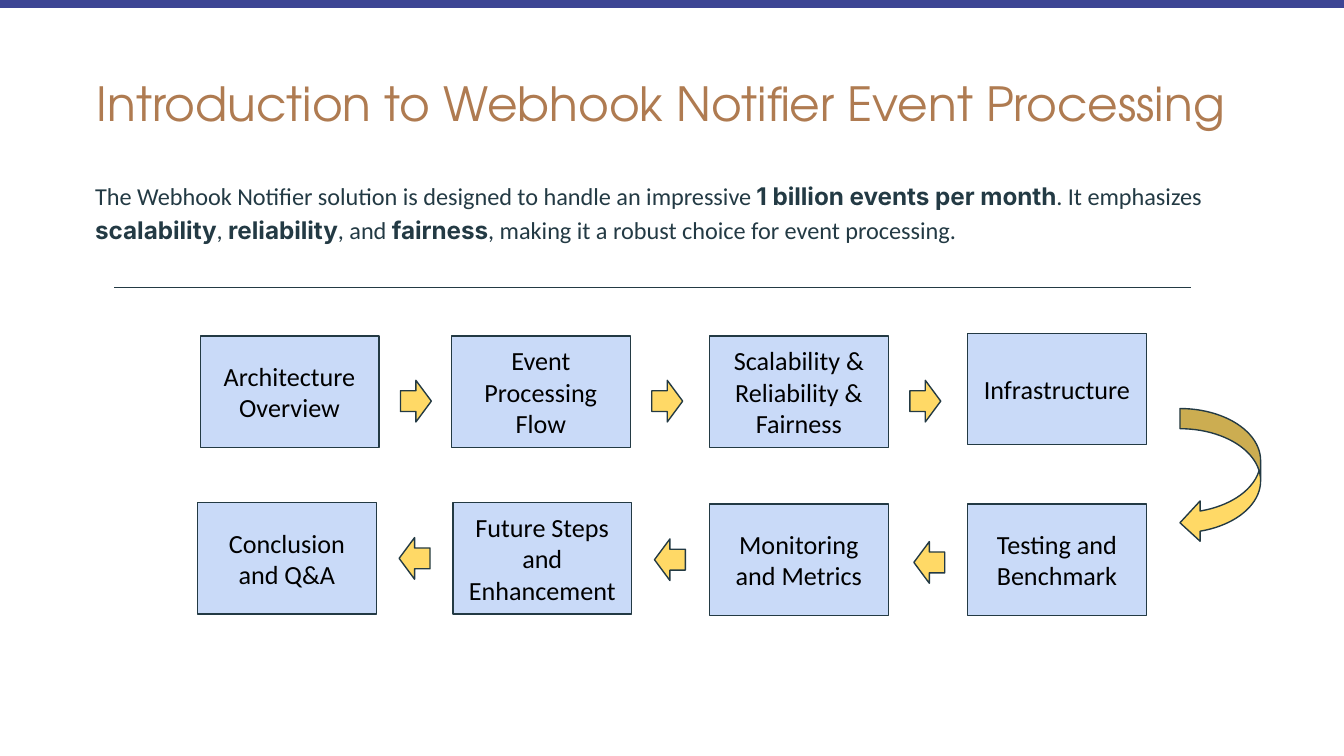
from lxml import etree
from pptx import Presentation
from pptx.dml.color import RGBColor
from pptx.enum.shapes import MSO_CONNECTOR, MSO_SHAPE
from pptx.enum.text import MSO_ANCHOR, MSO_AUTO_SIZE, PP_ALIGN
from pptx.oxml.ns import qn
from pptx.util import Inches, Pt

COLORS = {
    "band": "3D4594",
    "title": "AF7B51",
    "ink": "233A44",
    "step": "C9DAF8",
    "arrow": "FFD966",
    "label": "000000",
}

STEP_SIZE = (1.33, 0.83)
ARROW_SIZE = (0.23, 0.31)
STEPS = [
    ("Architecture Overview", 1.49, 2.5),
    ("Event Processing Flow", 3.36, 2.5),
    ("Scalability & Reliability & Fairness", 5.28, 2.5),
    ("Infrastructure", 7.2, 2.48),
    ("Testing and Benchmark", 7.2, 3.75),
    ("Monitoring and Metrics", 5.28, 3.75),
    ("Future Steps and Enhancement", 3.37, 3.74),
    ("Conclusion and Q&A", 1.47, 3.74),
]
FORWARD_ARROWS = [(2.98, 2.83), (4.85, 2.83), (6.77, 2.83)]
BACKWARD_ARROWS = [(6.8, 4.03), (4.87, 4.01), (2.97, 4)]

# Every second part is emphasized.
INTRO_PARTS = [
    "The Webhook Notifier solution is designed to handle an impressive ",
    "1 billion events per month",
    ". It emphasizes ",
    "scalability",
    ", ",
    "reliability",
    ", and ",
    "fairness",
    ", making it a robust choice for event processing.",
]


def color(name):
    return RGBColor.from_string(COLORS[name])


def set_font(font, face, size, color_name, bold=False):
    font.name = face
    font.size = Pt(size)
    font.bold = bold
    font.color.rgb = color(color_name)


def set_frame(frame, anchor):
    """Wrap the text inside even margins, without resizing."""
    frame.word_wrap = True
    frame.auto_size = MSO_AUTO_SIZE.NONE
    frame.vertical_anchor = anchor
    frame.margin_left = frame.margin_right = Inches(0.1)
    frame.margin_top = frame.margin_bottom = Inches(0.1)


def add_filled(slide, preset, left, top, size, fill, outlined=True):
    shape = slide.shapes.add_shape(
        preset, Inches(left), Inches(top), Inches(size[0]), Inches(size[1])
    )
    shape.shadow.inherit = False
    shape.fill.solid()
    shape.fill.fore_color.rgb = color(fill)
    if outlined:
        shape.line.color.rgb = color("ink")
        shape.line.width = Pt(0.75)
    else:
        shape.line.fill.background()
    return shape


def add_title(slide, text):
    title = slide.shapes.title
    title.left, title.top = Inches(0.62), Inches(0.45)
    title.width, title.height = Inches(8.76), Inches(0.63)
    set_frame(title.text_frame, MSO_ANCHOR.MIDDLE)
    title.text_frame.text = text
    paragraph = title.text_frame.paragraphs[0]
    paragraph.alignment = PP_ALIGN.LEFT
    set_font(paragraph.font, "TeX Gyre Adventor", 25.2, "title")


def add_intro(slide):
    intro = slide.shapes.add_textbox(
        Inches(0.61), Inches(1.22), Inches(8.51), Inches(0.67)
    )
    set_frame(intro.text_frame, MSO_ANCHOR.TOP)
    paragraph = intro.text_frame.paragraphs[0]
    paragraph.line_spacing = 1.15
    paragraph.space_after = Pt(12)
    for index, part in enumerate(INTRO_PARTS):
        run = paragraph.add_run()
        run.text = part
        emphasized = index % 2 == 1
        set_font(run.font, "Inter" if emphasized else "Calibri", 13, "ink", emphasized)


def add_divider(slide):
    divider = slide.shapes.add_connector(
        MSO_CONNECTOR.STRAIGHT, Inches(0.85), Inches(2.14), Inches(8.86), Inches(2.14)
    )
    divider.line.color.rgb = color("ink")
    divider.line.width = Pt(0.75)
    etree.SubElement(divider._element.spPr, qn("a:effectLst"))


def add_step(slide, label, left, top):
    step = add_filled(slide, MSO_SHAPE.RECTANGLE, left, top, STEP_SIZE, "step")
    set_frame(step.text_frame, MSO_ANCHOR.MIDDLE)
    step.text_frame.text = label
    paragraph = step.text_frame.paragraphs[0]
    paragraph.alignment = PP_ALIGN.CENTER
    set_font(paragraph.font, "Calibri", 14, "label")


def add_arrows(slide):
    for preset, places in (
        (MSO_SHAPE.RIGHT_ARROW, FORWARD_ARROWS),
        (MSO_SHAPE.LEFT_ARROW, BACKWARD_ARROWS),
    ):
        for left, top in places:
            add_filled(slide, preset, left, top, ARROW_SIZE, "arrow")
    add_filled(slide, MSO_SHAPE.CURVED_LEFT_ARROW, 8.78, 3.04, (0.6, 1), "arrow")


def main():
    prs = Presentation()
    prs.slide_width = Inches(10)
    prs.slide_height = prs.slide_width * 9 // 16
    slide = prs.slides.add_slide(prs.slide_layouts[5])
    add_filled(slide, MSO_SHAPE.RECTANGLE, 0, 0, (10, 0.06), "band", outlined=False)
    add_title(slide, "Introduction to Webhook Notifier Event Processing")
    add_intro(slide)
    for label, left, top in STEPS:
        add_step(slide, label, left, top)
    add_arrows(slide)
    add_divider(slide)
    prs.save("out.pptx")


if __name__ == "__main__":
    main()
